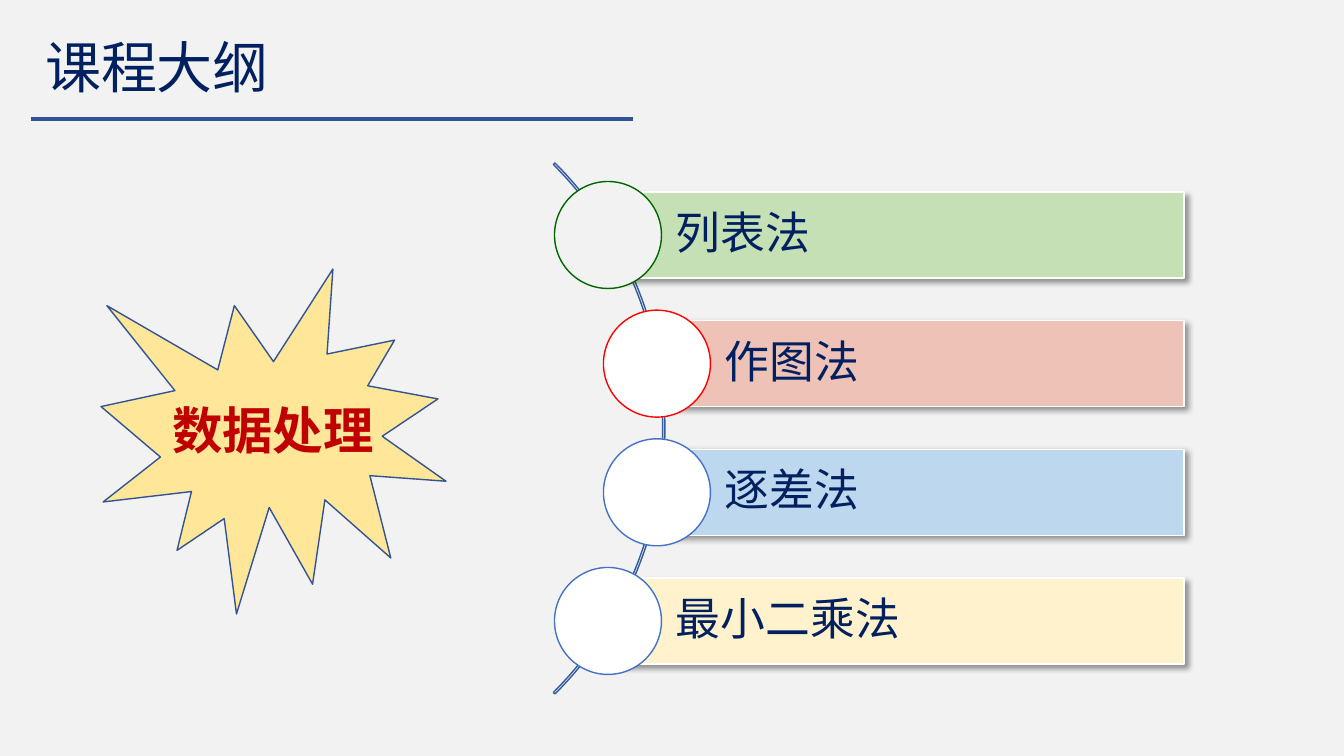
from lxml.etree import SubElement
from pptx import Presentation
from pptx.dml.color import RGBColor
from pptx.enum.shapes import MSO_CONNECTOR as Connector, MSO_SHAPE as Shape
from pptx.enum.text import MSO_ANCHOR as Anchor, PP_ALIGN as Align
from pptx.oxml import parse_xml
from pptx.oxml.ns import nsdecls, qn
from pptx.util import Pt

# Content and colours
FONT = "Noto Sans CJK SC"
NAVY = RGBColor(0x00, 0x20, 0x60)
DARK_RED = RGBColor(0xC0, 0x00, 0x00)
WHITE = RGBColor(0xFF, 0xFF, 0xFF)
GREY = RGBColor(0xF2, 0xF2, 0xF2)
RULE_BLUE = RGBColor(0x2F, 0x55, 0x97)
ARC_BLUE = RGBColor(0x36, 0x5B, 0x9D)
STAR_BLUE = RGBColor(0x32, 0x54, 0x91)
CIRCLE_BLUE = RGBColor(0x44, 0x72, 0xC4)
GREEN = RGBColor(0x00, 0x66, 0x00)
RED = RGBColor(0xFF, 0x00, 0x00)
STAR_FILL = RGBColor(0xFF, 0xE6, 0x99)

TITLE = "课程大纲"
TOPIC = "数据处理"
# label, bar fill, circle fill, circle line, circle centre x
METHODS = [
    ("列表法", RGBColor(0xC5, 0xE0, 0xB4), GREY, GREEN, 608),
    ("作图法", RGBColor(0xEF, 0xC2, 0xB7), WHITE, RED, 657),
    ("逐差法", RGBColor(0xBD, 0xD7, 0xEE), WHITE, CIRCLE_BLUE, 657),
    ("最小二乘法", RGBColor(0xFF, 0xF2, 0xCC), WHITE, CIRCLE_BLUE, 608),
]
FIRST_Y, LAST_Y = 235, 621
BAR_RIGHT, BAR_HEIGHT, DIAMETER = 1184, 86, 107


def px(value):
    return round(value * 914400 / 100.8)


def box(*lengths):
    return [px(length) for length in lengths]


def write(shape, text, frame_format, paragraph_format, font_format, color):
    frame = shape.text_frame
    for name, value in frame_format.items():
        setattr(frame, name, value)
    paragraph = frame.paragraphs[0]
    for name, value in paragraph_format.items():
        setattr(paragraph, name, value)
    run = paragraph.add_run()
    run.text = text
    for name, value in {"name": FONT, **font_format}.items():
        setattr(run.font, name, value)
    run.font.color.rgb = color
    SubElement(run.font._element, qn("a:ea")).set("typeface", FONT)


def add_shape(kind, place, fill, line):
    shape = slide.shapes.add_shape(kind, *box(*place))
    shape.shadow.inherit = False
    if fill is None:
        shape.fill.background()
    else:
        shape.fill.solid()
        shape.fill.fore_color.rgb = fill
    shape.line.color.rgb = line
    shape.line.width = Pt(1)
    return shape


def cast_shadow(shape):
    effects = shape._element.spPr.find(qn("a:effectLst"))
    effects.append(parse_xml(
        f'<a:outerShdw {nsdecls("a")} blurRad="{Pt(4)}" dist="{Pt(3)}" dir="2700000" '
        'algn="tl" rotWithShape="0"><a:srgbClr val="000000"><a:alpha val="40000"/>'
        '</a:srgbClr></a:outerShdw>'))


presentation = Presentation()
presentation.slide_width, presentation.slide_height = box(1344, 756)
slide = presentation.slides.add_slide(presentation.slide_layouts[5])
slide.background.fill.solid()
slide.background.fill.fore_color.rgb = GREY

# Title and rule
title = slide.shapes.title
title.left, title.top, title.width, title.height = box(35, 39, 320, 63)
write(title, TITLE, {"vertical_anchor": Anchor.MIDDLE, "word_wrap": True},
      {"alignment": Align.LEFT, "line_spacing": 0.9}, {"size": Pt(40)}, NAVY)
rule = slide.shapes.add_connector(Connector.STRAIGHT, *box(31, 119, 633, 119))
rule.line.color.rgb = RULE_BLUE
rule.line.width = Pt(2.25)
SubElement(rule._element.spPr, qn("a:effectLst"))

# Arc behind the list
arc = add_shape(Shape.BLOCK_ARC, (-86, 53, 751, 751), None, ARC_BLUE)
for index, value in enumerate((189, 27, 0.003)):
    arc.adjustments[index] = value

# Method bars, each starting at the centre of its circle
pitch = (LAST_Y - FIRST_Y) / (len(METHODS) - 1)
for row, (label, bar_fill, circle_fill, circle_line, x) in enumerate(METHODS):
    y = FIRST_Y + row * pitch
    bar = add_shape(Shape.RECTANGLE, (x, y - BAR_HEIGHT / 2, BAR_RIGHT - x, BAR_HEIGHT),
                    bar_fill, WHITE)
    cast_shadow(bar)
    write(bar, label, {"vertical_anchor": Anchor.MIDDLE, "margin_left": px(68)},
          {"alignment": Align.LEFT, "line_spacing": 0.9}, {"size": Pt(32)}, NAVY)
    add_shape(Shape.OVAL, (x - DIAMETER / 2, y - DIAMETER / 2, DIAMETER, DIAMETER),
              circle_fill, circle_line)

# Topic star
add_shape(Shape.EXPLOSION1, (101, 269, 345, 345), STAR_FILL, STAR_BLUE)
topic = slide.shapes.add_textbox(*box(161, 393, 224, 72))
write(topic, TOPIC, {"word_wrap": False, "vertical_anchor": Anchor.MIDDLE},
      {"alignment": Align.CENTER}, {"size": Pt(36), "bold": True}, DARK_RED)

presentation.save("out.pptx")
